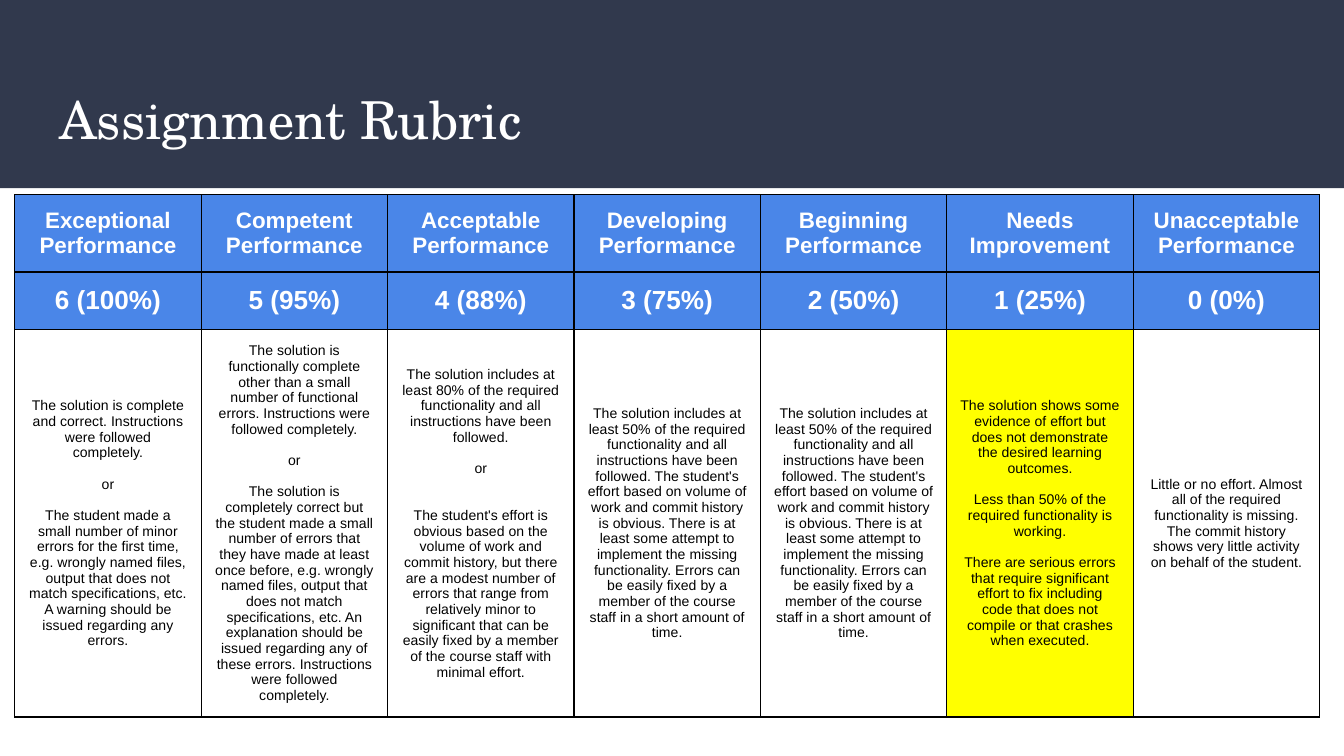
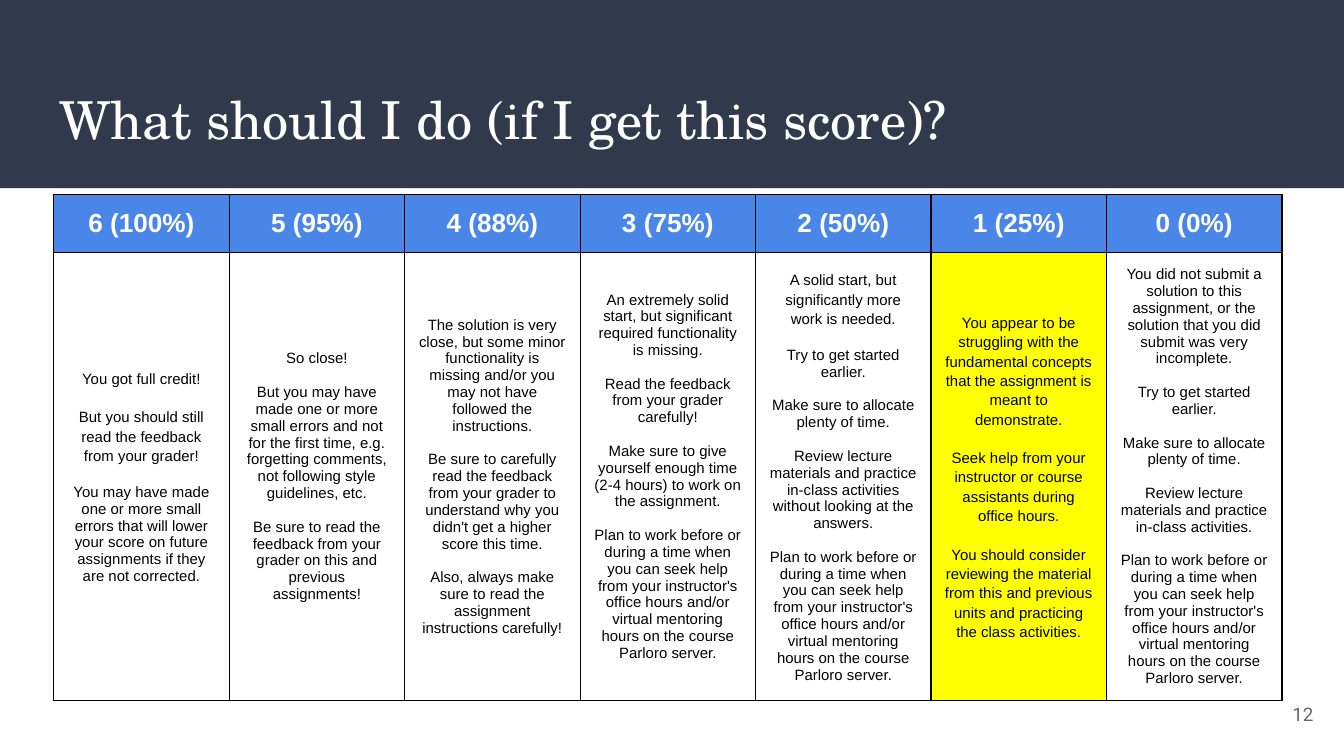
"""Build two slides that explain the assignment rubric and what each score calls for."""
from lxml.etree import SubElement as Sub
from pptx import Presentation
from pptx.dml.color import RGBColor as RGB
from pptx.enum.shapes import MSO_SHAPE as Shape
from pptx.enum.text import MSO_ANCHOR as Anchor, MSO_AUTO_SIZE as Fit, PP_ALIGN as Align
from pptx.oxml.ns import qn
from pptx.util import Inches, Pt

HUES = {
    "navy": "31394D", "blue": "4A86E8", "mark": "FFFF00",
    "white": "FFFFFF", "black": "000000", "gray": "666666",
}
SERIF, SANS, PLAIN = "TeX Gyre Schola", "Arial", "Roboto"
PAD, TOP, LOOSE, PITCH = 0.1, 1.45, 1.15, 1.125
MARKED = 5

LEVELS = [
    "Exceptional Performance", "Competent Performance", "Acceptable Performance",
    "Developing Performance", "Beginning Performance", "Needs Improvement",
    "Unacceptable Performance",
]
SCORES = ["6 (100%)", "5 (95%)", "4 (88%)", "3 (75%)", "2 (50%)", "1 (25%)", "0 (0%)"]

HALF = (
    "The solution includes at least 50% of the required functionality and all "
    "instructions have been followed. The student's effort based on volume of work "
    "and commit history is obvious. There is at least some attempt to implement the "
    "missing functionality. Errors can be easily fixed by a member of the course "
    "staff in a short amount of time."
)
RULES = [
    ["The solution is complete and correct. Instructions were followed completely.",
     "or",
     "The student made a small number of minor errors for the first time, e.g. wrongly "
     "named files, output that does not match specifications, etc. A warning should be "
     "issued regarding any errors."],
    ["The solution is functionally complete other than a small number of functional "
     "errors. Instructions were followed completely.",
     "or",
     "The solution is completely correct but the student made a small number of errors "
     "that they have made at least once before, e.g. wrongly named files, output that "
     "does not match specifications, etc. An explanation should be issued regarding any "
     "of these errors. Instructions were followed completely."],
    ["The solution includes at least 80% of the required functionality and all "
     "instructions have been followed.",
     "or",
     "The student's effort is obvious based on the volume of work and commit history, "
     "but there are a modest number of errors that range from relatively minor to "
     "significant that can be easily fixed by a member of the course staff with "
     "minimal effort."],
    [HALF],
    [HALF],
    ["The solution shows some evidence of effort but does not demonstrate the desired "
     "learning outcomes.",
     "Less than 50% of the required functionality is working.",
     "There are serious errors that require significant effort to fix including code "
     "that does not compile or that crashes when executed."],
    ["Little or no effort. Almost all of the required functionality is missing. The "
     "commit history shows very little activity on behalf of the student."],
]

EARLY = ["Try to get started earlier.", "Make sure to allocate plenty of time."]
PLAN = (
    "Plan to work before or during a time when you can seek help from your instructor's "
    "office hours and/or virtual mentoring hours on the course Parloro server."
)
STEPS = [
    ["You got full credit!",
     "But you should still read the feedback from your grader!",
     "You may have made one or more small errors that will lower your score on future "
     "assignments if they are not corrected."],
    ["So close!",
     "But you may have made one or more small errors and not for the first time, e.g. "
     "forgetting comments, not following style guidelines, etc.",
     "Be sure to read the feedback from your grader on this and previous assignments!"],
    ["The solution is very close, but some minor functionality is missing and/or you "
     "may not have followed the instructions.",
     "Be sure to carefully read the feedback from your grader to understand why you "
     "didn't get a higher score this time.",
     "Also, always make sure to read the assignment instructions carefully!"],
    ["An extremely solid start, but significant required functionality is missing.",
     "Read the feedback from your grader carefully!",
     "Make sure to give yourself enough time (2-4 hours) to work on the assignment.",
     PLAN],
    ["A solid start, but significantly more work is needed.",
     *EARLY,
     "Review lecture materials and practice in-class activities without looking at the "
     "answers.",
     PLAN],
    ["You appear to be struggling with the fundamental concepts that the assignment is "
     "meant to demonstrate.",
     "Seek help from your instructor or course assistants during office hours.",
     "You should consider reviewing the material from this and previous units and "
     "practicing the class activities."],
    ["You did not submit a solution to this assignment, or the solution that you did "
     "submit was very incomplete.",
     *EARLY,
     "Review lecture materials and practice in-class activities.",
     PLAN],
]

SLIDES = [
    {"title": "Assignment Rubric", "left": 0.11, "width": 9.71,
     "heads": [(LEVELS, 12, 0.57), (SCORES, 14, 0.43)],
     "body": RULES, "size": 7.5, "high": 2.88, "loose": {}, "gaps": {(2, 2): 2}},
    {"title": "What should I do (if I get this score)?", "left": 0.4, "width": 9.14,
     "heads": [(SCORES, 14, 0.43)],
     "body": STEPS, "size": 8, "high": 3.33, "loose": {0: 2, 4: 1, 5: 3}, "gaps": {},
     "page": "12"},
]


def hue(name):
    return RGB.from_string(HUES[name])


def style(para, face, size, color, align, bold=False):
    para.alignment = align
    font = para.font
    font.name, font.size, font.bold = face, Pt(size), bold
    font.color.rgb = hue(color)


def inset(item):
    item.margin_left = item.margin_right = Inches(PAD)
    item.margin_top = item.margin_bottom = Inches(PAD)


def label(shape, text, face, size, color, align, anchor):
    frame = shape.text_frame
    frame.auto_size, frame.word_wrap = Fit.NONE, True
    frame.vertical_anchor = anchor
    inset(frame)
    frame.text = text
    style(frame.paragraphs[0], face, size, color, align)


def border(cell):
    props = cell._tc.get_or_add_tcPr()
    for side in ("lnL", "lnR", "lnT", "lnB"):
        line = Sub(props, qn(f"a:{side}"), w=str(Pt(0.75)))
        fill = Sub(line, qn("a:solidFill"))
        Sub(fill, qn("a:srgbClr"), val=HUES["black"])


def paint(cell, color):
    inset(cell)
    border(cell)
    if color:
        cell.fill.solid()
        cell.fill.fore_color.rgb = hue(color)
    else:
        cell.fill.background()


def fill_body(cell, texts, col, data):
    paint(cell, "mark" if col == MARKED else None)
    cell.vertical_anchor = Anchor.MIDDLE
    frame, size = cell.text_frame, data["size"]
    loose = data["loose"].get(col, 0)
    for i, text in enumerate(texts):
        para = frame.add_paragraph() if i else frame.paragraphs[0]
        para.text = text
        style(para, SANS, size, "black", Align.CENTER)
        if i < loose:
            para.line_spacing = LOOSE
        if i:
            lead = LOOSE if i <= loose else 1
            gap = data["gaps"].get((col, i), 1)
            para.space_before = Pt(round(size * PITCH * lead * gap, 1))


def add_grid(slide, data):
    heads, body = data["heads"], data["body"]
    highs = [high for _, _, high in heads] + [data["high"]]
    grid = slide.shapes.add_table(
        len(highs), len(body), Inches(data["left"]), Inches(TOP),
        Inches(data["width"]), Inches(sum(highs))).table
    grid.first_row = grid.horz_banding = False
    for col in grid.columns:
        col.width = Inches(data["width"] / len(body))
    for row, high in zip(grid.rows, highs):
        row.height = Inches(high)
    for r, (texts, size, _) in enumerate(heads):
        for c, text in enumerate(texts):
            cell = grid.cell(r, c)
            paint(cell, "blue")
            cell.text = text
            style(cell.text_frame.paragraphs[0], SANS, size, "white", Align.CENTER, True)
    for c, texts in enumerate(body):
        fill_body(grid.cell(len(heads), c), texts, c, data)


def add_slide(deck, data):
    slide = deck.slides.add_slide(deck.slide_layouts[5])
    title = slide.shapes.title
    title.left, title.top = Inches(0.34), Inches(0.55)
    title.width, title.height = Inches(9.32), Inches(0.68)
    label(title, data["title"], SERIF, 28, "white", Align.LEFT, Anchor.TOP)
    band = slide.shapes.add_shape(Shape.RECTANGLE, 0, 0, deck.slide_width, Inches(1.4))
    band.shadow.inherit = False
    band.fill.solid()
    band.fill.fore_color.rgb = hue("navy")
    band.line.fill.background()
    title.element.addprevious(band.element)
    if "page" in data:
        page = slide.shapes.add_textbox(Inches(9.27), Inches(5.1), Inches(0.6), Inches(0.43))
        label(page, data["page"], PLAIN, 10, "gray", Align.RIGHT, Anchor.MIDDLE)
    add_grid(slide, data)


def main():
    deck = Presentation()
    deck.slide_width = Inches(10)
    deck.slide_height = deck.slide_width * 9 // 16
    for data in SLIDES:
        add_slide(deck, data)
    deck.save("out.pptx")


if __name__ == "__main__":
    main()
